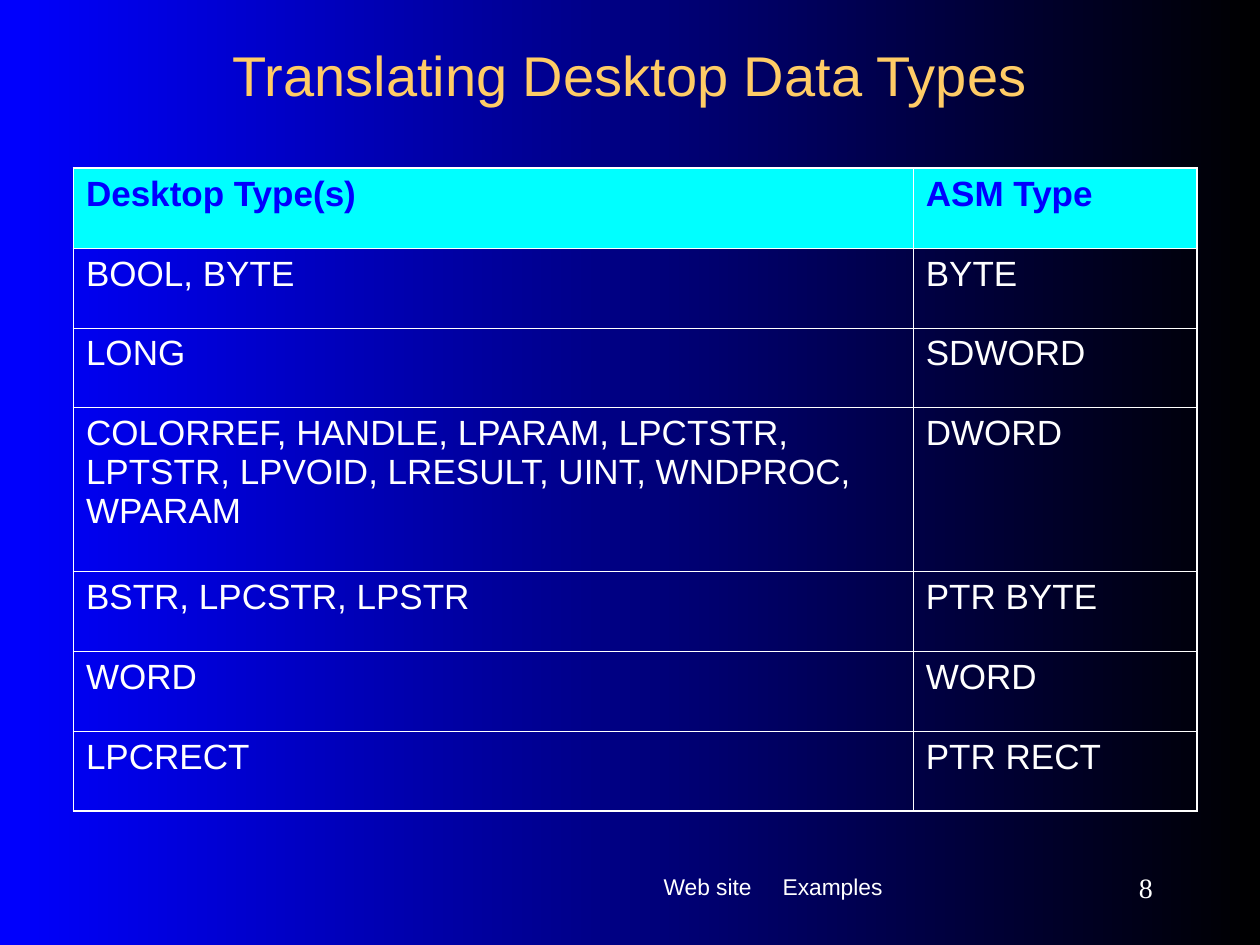
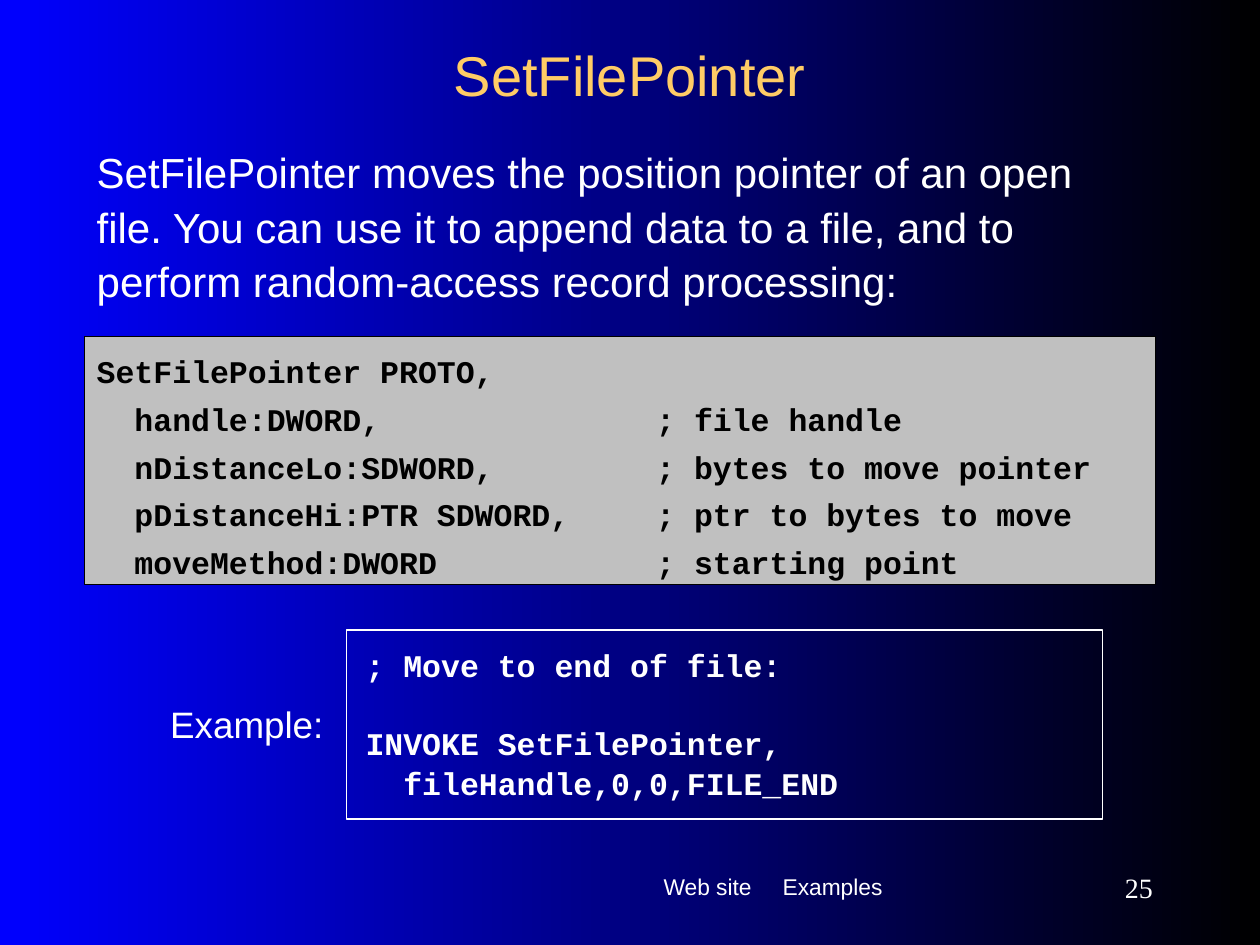
"""Build two slides on API data types and the SetFilePointer procedure."""
from dataclasses import dataclass

import pptx
import pptx.dml.color
import pptx.enum.shapes
import pptx.enum.text
import pptx.oxml
import pptx.oxml.ns
import pptx.util
from pptx.util import Cm

ALIGN = pptx.enum.text.PP_ALIGN
ANCHOR = pptx.enum.text.MSO_ANCHOR


def rgb(color):
    return pptx.dml.color.RGBColor.from_string(color)


@dataclass(frozen=True)
class Theme:
    black: str = "000000"
    blue: str = "0000FF"
    white: str = "FFFFFF"
    gold: str = "FFCC66"
    cyan: str = "00FFFF"
    silver: str = "C0C0C0"
    sans: str = "Arial"
    mono: str = "Courier New"
    serif: str = "Times New Roman"
    title: float = 32
    body: float = 24
    label: float = 21
    cell: float = 20
    code: float = 18
    number: float = 16
    footer: float = 13
    thin: float = 0.45
    thick: float = 1.08
    outline: float = 0.75


class Deck:
    def __init__(self, theme):
        self.theme = theme
        self.prs = pptx.Presentation()
        self.prs.slide_width, self.prs.slide_height = Cm(25.4), Cm(19.05)
        self.s = None

    def slide(self, title, number):
        t = self.theme
        self.s = self.prs.slides.add_slide(self.prs.slide_layouts[6])
        fill = self.s.background.fill
        fill.gradient()
        fill.gradient_angle = 180
        for stop, color in zip(fill.gradient_stops, (t.black, t.blue)):
            stop.color.rgb = rgb(color)
        self.text("Web site\tExamples", (13.13, 17.32, 7.62, 1.32), t.footer,
                  inset=(0.25, 0.38), tab=2.4)
        self.text(title, (1.9, 0.64, 21.6, 1.7), t.title, color=t.gold,
                  align=ALIGN.CENTER, anchor=ANCHOR.MIDDLE)
        self.text(number, (20.75, 17.35, 2.74, 1.07), t.number, font=t.serif,
                  align=ALIGN.RIGHT, anchor=ANCHOR.MIDDLE)

    def style(self, p, size, font, color, bold=False):
        p.font.size = pptx.util.Pt(size)
        p.font.name = font
        p.font.bold = bold
        p.font.color.rgb = rgb(color)

    def tab_stop(self, p, pos):
        tabs = pptx.oxml.parse_xml(
            f'<a:tabLst {pptx.oxml.ns.nsdecls("a")}>'
            f'<a:tab pos="{Cm(pos)}" algn="l"/></a:tabLst>')
        p._p.get_or_add_pPr().append(tabs)

    def frame(self, sp, inset, anchor=ANCHOR.TOP):
        tf = sp.text_frame
        tf.word_wrap = True
        tf.vertical_anchor = anchor
        tf.margin_left = tf.margin_right = Cm(inset[0])
        tf.margin_top = tf.margin_bottom = Cm(inset[1])
        return tf

    def text(self, text, box, size, font=None, color=None, align=ALIGN.LEFT,
             anchor=ANCHOR.TOP, inset=(0.25, 0.13), tab=None, spacing=None):
        sp = self.s.shapes.add_textbox(*map(Cm, box))
        p = self.frame(sp, inset, anchor).paragraphs[0]
        p.text = text
        p.alignment = align
        p.line_spacing = spacing
        if tab:
            self.tab_stop(p, tab)
        self.style(p, size, font or self.theme.sans, color or self.theme.white)

    def code(self, lines, box, color, line, inset, spacing, fill=None, gaps=None):
        t = self.theme
        sp = self.s.shapes.add_shape(
            pptx.enum.shapes.MSO_SHAPE.RECTANGLE, *map(Cm, box))
        sp.shadow.inherit = False
        if fill:
            sp.fill.solid()
            sp.fill.fore_color.rgb = rgb(fill)
        else:
            sp.fill.background()
        sp.line.color.rgb = rgb(line)
        sp.line.width = pptx.util.Pt(t.outline)
        tf = self.frame(sp, inset)
        for i, text in enumerate(lines):
            p = tf.paragraphs[0] if i == 0 else tf.add_paragraph()
            p.text = text
            p.alignment = ALIGN.LEFT
            p.line_spacing = spacing
            if i:
                p.space_before = pptx.util.Pt((gaps or {}).get(i, 11.2))
            if "\t" in text:
                self.tab_stop(p, 11.28)
            self.style(p, t.code, t.mono, color, bold=True)

    def border(self, cell, side, width):
        cell._tc.get_or_add_tcPr().append(pptx.oxml.parse_xml(
            f'<a:ln{side} {pptx.oxml.ns.nsdecls("a")} w="{pptx.util.Pt(width)}">'
            f'<a:solidFill><a:srgbClr val="{self.theme.white}"/></a:solidFill>'
            f'</a:ln{side}>'))

    def table(self, rows, left, top, widths, heights):
        t = self.theme
        shape = self.s.shapes.add_table(
            len(rows), len(widths), Cm(left), Cm(top),
            Cm(sum(widths)), Cm(sum(heights)))
        tbl = shape.table
        tbl.first_row = tbl.horz_banding = False
        for col, width in zip(tbl.columns, widths):
            col.width = Cm(width)
        last_row, last_col = len(rows) - 1, len(widths) - 1
        for i, row in enumerate(rows):
            tbl.rows[i].height = Cm(heights[i])
            for j, text in enumerate(row):
                cell = tbl.cell(i, j)
                outer = {"L": j == 0, "R": j == last_col,
                         "T": i == 0, "B": i == last_row}
                for side, is_outer in outer.items():
                    self.border(cell, side, t.thick if is_outer else t.thin)
                if i == 0:
                    cell.fill.solid()
                    cell.fill.fore_color.rgb = rgb(t.cyan)
                else:
                    cell.fill.background()
                p = cell.text_frame.paragraphs[0]
                p.text = text
                self.style(p, t.cell, t.sans, t.blue if i == 0 else t.white,
                           bold=i == 0)


def main():
    theme = Theme()
    deck = Deck(theme)

    deck.slide("Translating Desktop Data Types", "8")
    types = [
        ("Desktop Type(s)", "ASM Type"),
        ("BOOL, BYTE", "BYTE"),
        ("LONG", "SDWORD"),
        ("COLORREF, HANDLE, LPARAM, LPCTSTR, LPTSTR, LPVOID, LRESULT, "
         "UINT, WNDPROC, WPARAM", "DWORD"),
        ("BSTR, LPCSTR, LPSTR", "PTR BYTE"),
        ("WORD", "WORD"),
        ("LPCRECT", "PTR RECT"),
    ]
    heights = [3.3 if len(names) > 40 else 1.61 for names, _ in types]
    deck.table(types, 1.48, 3.39, (16.93, 5.72), heights)

    deck.slide("SetFilePointer", "25")
    deck.text("SetFilePointer moves the position pointer of an open file. "
              "You can use it to append data to a file, and to perform "
              "random-access record processing:",
              (1.7, 2.75, 21.59, 3.81), theme.body, spacing=1.08)
    deck.code(["SetFilePointer PROTO,",
               "  handle:DWORD,\t; file handle",
               "  nDistanceLo:SDWORD,\t; bytes to move pointer",
               "  pDistanceHi:PTR SDWORD,\t; ptr to bytes to move",
               "  moveMethod:DWORD\t; starting point"],
              (1.7, 6.78, 21.59, 5), theme.black, theme.black,
              inset=(0.25, 0.51), spacing=0.74, fill=theme.silver)
    deck.code(["; Move to end of file:",
               "INVOKE SetFilePointer,",
               "  fileHandle,0,0,FILE_END"],
              (6.99, 12.7, 15.24, 3.81), theme.white, theme.white,
              inset=(0.38, 0.64), spacing=0.53, gaps={1: 33.2})
    deck.text("Example:", (1.9, 13.76, 4.87, 1.65), theme.label,
              align=ALIGN.RIGHT, inset=(0.25, 0.38))

    deck.prs.save("out.pptx")


if __name__ == "__main__":
    main()
